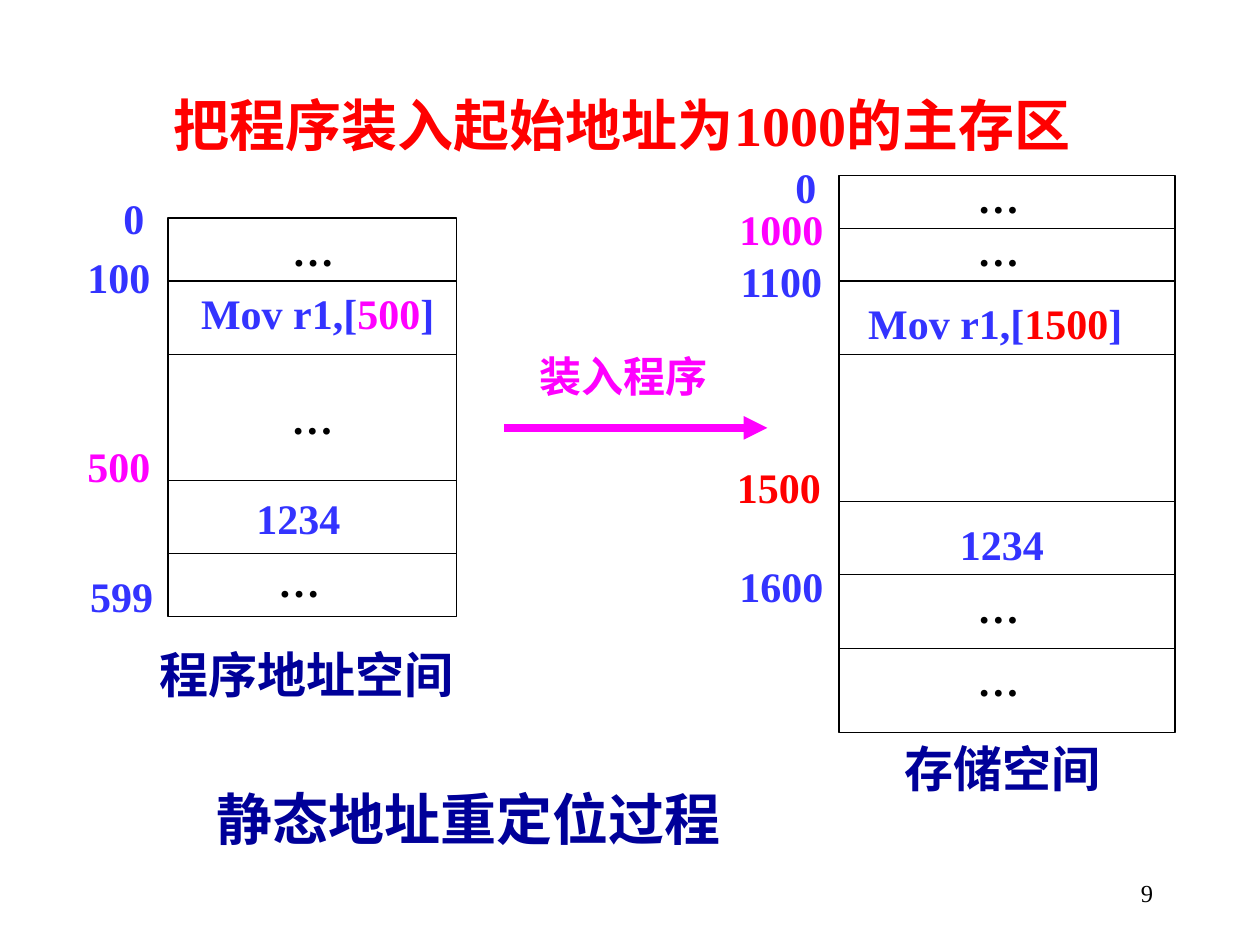
from dataclasses import dataclass

from lxml.etree import SubElement
from pptx import Presentation
from pptx.dml.color import RGBColor
from pptx.enum.shapes import MSO_CONNECTOR, MSO_SHAPE
from pptx.enum.text import MSO_ANCHOR, MSO_AUTO_SIZE, PP_ALIGN
from pptx.oxml.ns import qn
from pptx.util import Pt


@dataclass(frozen=True)
class Theme:
    font: str = "Times New Roman"
    black: str = "000000"
    white: str = "FFFFFF"
    blue: str = "3333FF"
    navy: str = "000099"
    pink: str = "FF00FF"
    red: str = "FF0000"
    title: int = 32
    name: int = 28
    body: int = 24
    page: int = 14
    thin: float = 0.75
    thick: float = 4.5


T = Theme()
DOTS = "…"


@dataclass(frozen=True)
class Grid:
    """A memory block: its sides and the heights of all its row edges."""
    x: float
    wide: float
    edges: tuple


@dataclass(frozen=True)
class Label:
    text: object
    x: float
    y: float
    wide: float
    color: str
    size: int = T.body
    wrap: bool = False
    high: float = 36


LEFT = Grid(96, 165, (124.5, 160.5, 202.5, 274.5, 316.5, 352.5))
RIGHT = Grid(479.5, 192, (100.5, 130.5, 160.5, 202.5, 286.5, 328.5, 370.5, 418.5))


def move(target: str, color: str) -> tuple:
    """Instruction whose target address has its own colour."""
    return (("Mov r1,[", T.blue), (target, color), ("]", T.blue))


CELLS = (
    Label(move("500", T.pink), 96, 160.5, 171, T.blue, wrap=True),
    Label(DOTS, 159, 124.5, 40, T.black),
    Label("1234", 138.5, 278, 64, T.blue),
    Label(DOTS, 151, 314, 40, T.black),
    Label(move("1500", T.red), 479.5, 166.5, 178.5, T.blue, wrap=True),
    Label("1234", 528, 292.5, 89, T.blue, wrap=True),
) + tuple(Label(DOTS, 550.5, y, 40, T.black) for y in (94.5, 124.5, 328.5, 370.5))

MARKS = (
    Label("0", 62.5, 106.5, 28, T.blue),
    Label("100", 42, 140, 52, T.blue),
    Label("500", 42, 248, 52, T.pink),
    Label("599", 43.5, 322.5, 52, T.blue),
    Label("0", 446.5, 88.5, 28, T.blue),
    Label("1000", 414.5, 112.5, 64, T.pink),
    Label("1100", 414.5, 142.5, 64, T.blue),
    Label("1500", 413, 260, 64, T.red),
    Label("1600", 414.5, 316.5, 64, T.blue),
)

NAMES = (
    Label("程序地址空间", 54, 364.5, 242, T.navy, T.name, True, 41),
    Label("存储空间", 508.5, 418.5, 129, T.navy, T.name, high=41),
    Label("装入程序", 300, 196.5, 113, T.pink),
    Label("静态地址重定位过程", 102, 444.5, 332, T.navy, T.title, True, 46),
)


def write(shape, text, *, color=T.black, size=T.body, bold=True, wrap=False,
          align=PP_ALIGN.CENTER, anchor=MSO_ANCHOR.TOP, fit=False) -> None:
    """Fill a shape with a string, or with (string, colour) parts."""
    frame = shape.text_frame
    frame.word_wrap = wrap
    frame.vertical_anchor = anchor
    if fit:
        frame.auto_size = MSO_AUTO_SIZE.SHAPE_TO_FIT_TEXT
    para = frame.paragraphs[0]
    para.alignment = align
    parts = ((text, color),) if isinstance(text, str) else text
    for word, tint in parts:
        run = para.add_run()
        run.text = word
        font = run.font
        font.name, font.size, font.bold = T.font, Pt(size), bold
        font.color.rgb = RGBColor.from_string(tint)


def label(slide, item: Label) -> None:
    box = slide.shapes.add_textbox(Pt(item.x), Pt(item.y), Pt(item.wide), Pt(item.high))
    write(box, item.text, color=item.color, size=item.size, wrap=item.wrap, fit=True)


def block(slide, x: float, y: float, wide: float, high: float, line: str):
    """Add a white rectangle with a thin outline."""
    shape = slide.shapes.add_shape(MSO_SHAPE.RECTANGLE, Pt(x), Pt(y), Pt(wide), Pt(high))
    shape.shadow.inherit = False
    shape.fill.solid()
    shape.fill.fore_color.rgb = RGBColor.from_string(T.white)
    shape.line.color.rgb = RGBColor.from_string(line)
    shape.line.width = Pt(T.thin)
    return shape


def rule(slide, x: float, y: float, wide: float, color: str, width: float,
         arrow: bool = False) -> None:
    """Draw a level line, with an arrowhead at its right end if asked."""
    line = slide.shapes.add_connector(
        MSO_CONNECTOR.STRAIGHT, Pt(x), Pt(y), Pt(x + wide), Pt(y))
    line.line.color.rgb = RGBColor.from_string(color)
    line.line.width = Pt(width)
    props = line.element.spPr
    if arrow:
        SubElement(props.find(qn("a:ln")), qn("a:tailEnd"), type="triangle")
    SubElement(props, qn("a:effectLst"))


def memory(slide, grid: Grid):
    top, *inner, end = grid.edges
    frame = block(slide, grid.x, top, grid.wide, end - top, T.black)
    for y in inner:
        rule(slide, grid.x, y, grid.wide, T.black, T.thin)
    return frame


def main() -> None:
    deck = Presentation()
    deck.slide_width, deck.slide_height = Pt(720), Pt(540)
    slide = deck.slides.add_slide(deck.slide_layouts[6])

    page = slide.shapes.add_textbox(Pt(516), Pt(492), Pt(150), Pt(36))
    write(page, "9", size=T.page, bold=False, wrap=True,
          align=PP_ALIGN.RIGHT, anchor=MSO_ANCHOR.MIDDLE)

    write(memory(slide, LEFT), DOTS, anchor=MSO_ANCHOR.MIDDLE)
    memory(slide, RIGHT)
    for item in CELLS + MARKS + NAMES:
        label(slide, item)
    rule(slide, 288, 244.5, 150.5, T.pink, T.thick, arrow=True)

    head = block(slide, 84, 48, 543, 46, T.white)
    write(head, "把程序装入起始地址为1000的主存区", color=T.red, size=T.title, wrap=True)
    deck.save("out.pptx")


if __name__ == "__main__":
    main()
